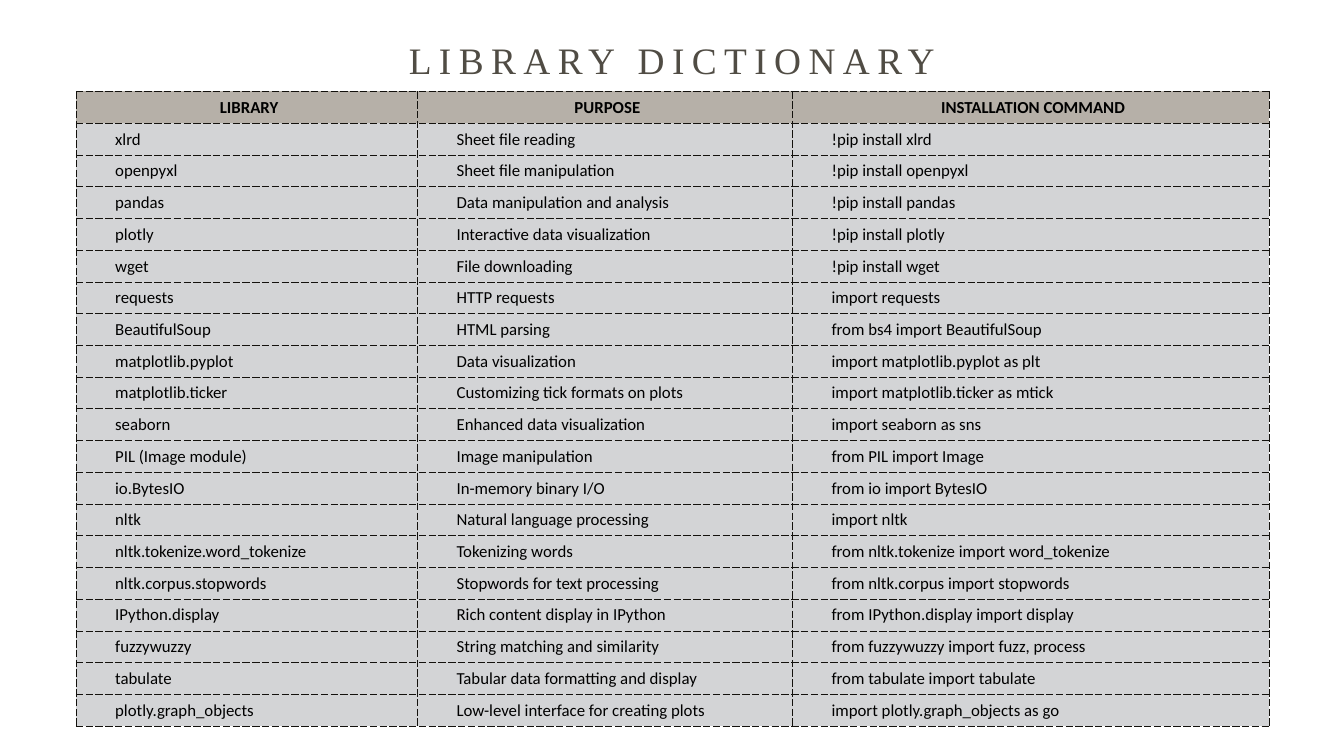
import pptx
import pptx.dml.color
import pptx.enum.text
import pptx.oxml
import pptx.oxml.ns
import pptx.util

Pt = pptx.util.Pt
ALIGN = pptx.enum.text.PP_ALIGN
COLORS = {"title": "504C44", "head": "B6B0A8", "body": "D3D4D6", "text": "000000", "line": "13110D"}
WIDTHS = (365.8, 401.8, 510.4)
ROWS = (
    ("LIBRARY", "PURPOSE", "INSTALLATION COMMAND"),
    ("xlrd", "Sheet file reading", "!pip install xlrd"),
    ("openpyxl", "Sheet file manipulation", "!pip install openpyxl"),
    ("pandas", "Data manipulation and analysis", "!pip install pandas"),
    ("plotly", "Interactive data visualization", "!pip install plotly"),
    ("wget", "File downloading", "!pip install wget"),
    ("requests", "HTTP requests", "import requests"),
    ("BeautifulSoup", "HTML parsing", "from bs4 import BeautifulSoup"),
    ("matplotlib.pyplot", "Data visualization", "import matplotlib.pyplot as plt"),
    ("matplotlib.ticker", "Customizing tick formats on plots", "import matplotlib.ticker as mtick"),
    ("seaborn", "Enhanced data visualization", "import seaborn as sns"),
    ("PIL (Image module)", "Image manipulation", "from PIL import Image"),
    ("io.BytesIO", "In-memory binary I/O", "from io import BytesIO"),
    ("nltk", "Natural language processing", "import nltk"),
    ("nltk.tokenize.word_tokenize", "Tokenizing words", "from nltk.tokenize import word_tokenize"),
    ("nltk.corpus.stopwords", "Stopwords for text processing", "from nltk.corpus import stopwords"),
    ("IPython.display", "Rich content display in IPython", "from IPython.display import display"),
    ("fuzzywuzzy", "String matching and similarity", "from fuzzywuzzy import fuzz, process"),
    ("tabulate", "Tabular data formatting and display", "from tabulate import tabulate"),
    ("plotly.graph_objects", "Low-level interface for creating plots", "import plotly.graph_objects as go"),
)


def paint(name):
    return pptx.dml.color.RGBColor.from_string(COLORS[name])


def write(frame, text, font="Calibri", size=18, color="text", bold=False,
          align=ALIGN.LEFT, level=0, left=0, leading=None, track=0):
    para = frame.paragraphs[0]
    para.alignment = align
    para.level = level
    if left:
        props = para._p.get_or_add_pPr()
        props.set("marL", str(Pt(left)))
        props.set("indent", "0")
    if leading:
        para.line_spacing = Pt(leading)
    run = para.add_run()
    run.text = text
    run.font.name = font
    run.font.size = Pt(size)
    run.font.bold = bold
    run.font.color.rgb = paint(color)
    if track:
        run._r.get_or_add_rPr().set("spc", str(track * 100))


class Deck:
    def __init__(self, width, height):
        self.show = pptx.Presentation()
        self.show.slide_width = Pt(width)
        self.show.slide_height = Pt(height)
        self.slide = self.show.slides.add_slide(self.show.slide_layouts[6])

    def label(self, text, left, top, width, height, **style):
        frame = self.slide.shapes.add_textbox(Pt(left), Pt(top), Pt(width), Pt(height)).text_frame
        frame.word_wrap = True
        frame.auto_size = pptx.enum.text.MSO_AUTO_SIZE.SHAPE_TO_FIT_TEXT
        frame.margin_left = frame.margin_right = frame.margin_top = frame.margin_bottom = 0
        write(frame, text, **style)

    def border(self, cell):
        props = cell._tc.get_or_add_tcPr()
        for spot, side in enumerate("LRTB"):
            props.insert(spot, pptx.oxml.parse_xml(
                f'<a:ln{side} {pptx.oxml.ns.nsdecls("a")} w="{Pt(0.5)}"><a:solidFill>'
                f'<a:srgbClr val="{COLORS["line"]}"/></a:solidFill>'
                f'<a:prstDash val="dash"/></a:ln{side}>'))

    def cell(self, cell, text, fill, **style):
        cell.margin_left = Pt(6)
        cell.margin_top = cell.margin_right = Pt(0.7)
        cell.margin_bottom = 0
        cell.vertical_anchor = pptx.enum.text.MSO_ANCHOR.MIDDLE
        cell.fill.solid()
        cell.fill.fore_color.rgb = paint(fill)
        self.border(cell)
        write(cell.text_frame, text, **style)

    def table(self, rows, widths, left, top, step):
        grid = self.slide.shapes.add_table(
            len(rows), len(widths), Pt(left), Pt(top), Pt(sum(widths)), Pt(step * len(rows))).table
        for column, width in zip(grid.columns, widths):
            column.width = Pt(width)
        head = dict(fill="head", bold=True, align=ALIGN.CENTER)
        body = dict(fill="body", level=1, left=36)
        for r, row in enumerate(rows):
            grid.rows[r].height = Pt(step)
            for c, text in enumerate(row):
                self.cell(grid.cell(r, c), text, **(body if r else head))


def main():
    deck = Deck(1440, 810)
    deck.table(ROWS, WIDTHS, 81.4, 98, 34)
    deck.label("LIBRARY DICTIONARY", 424.8, 31.7, 590.4, 52.6, font="Times New Roman",
               size=40, color="title", align=ALIGN.CENTER, leading=56, track=8)
    deck.show.save("out.pptx")


if __name__ == "__main__":
    main()
